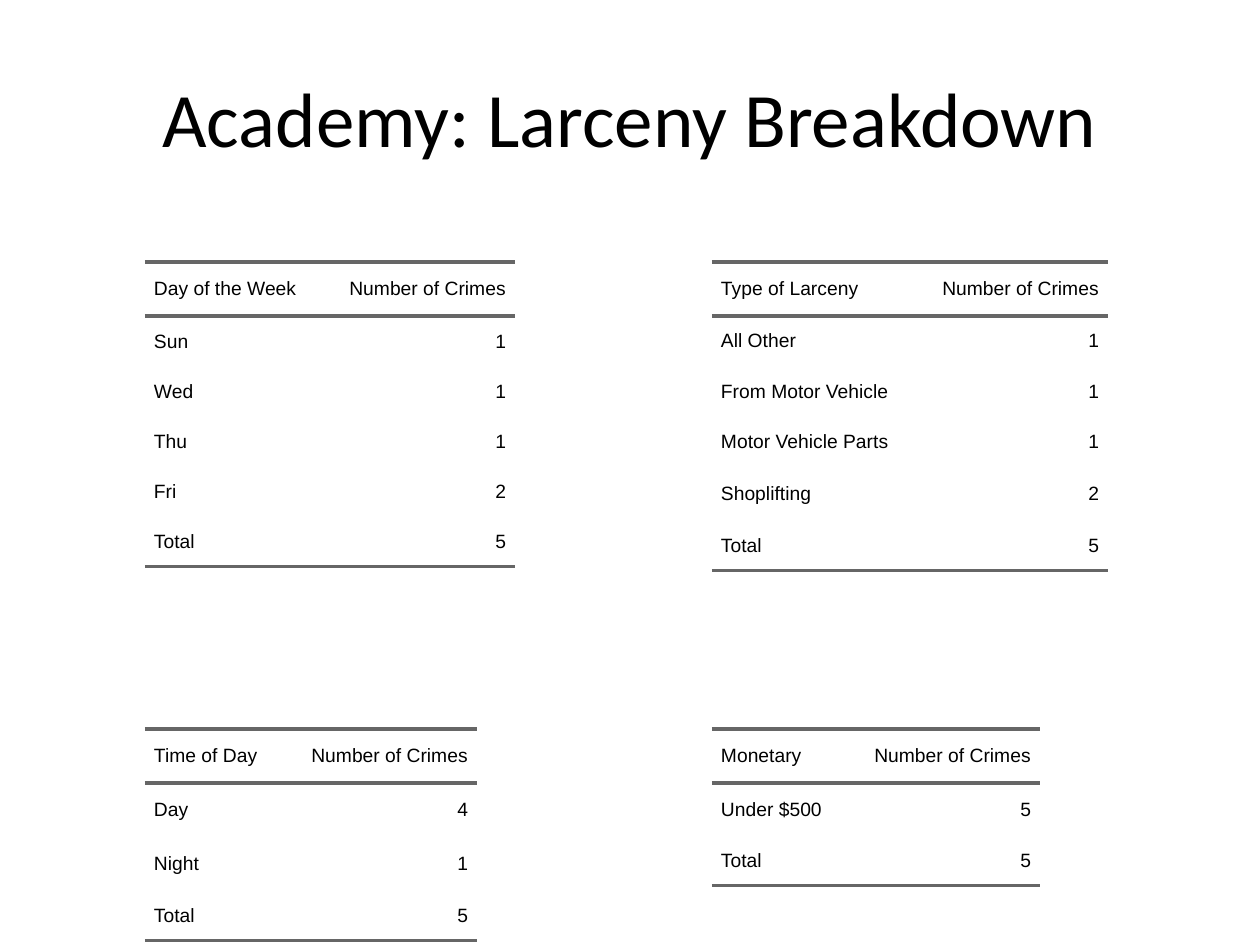
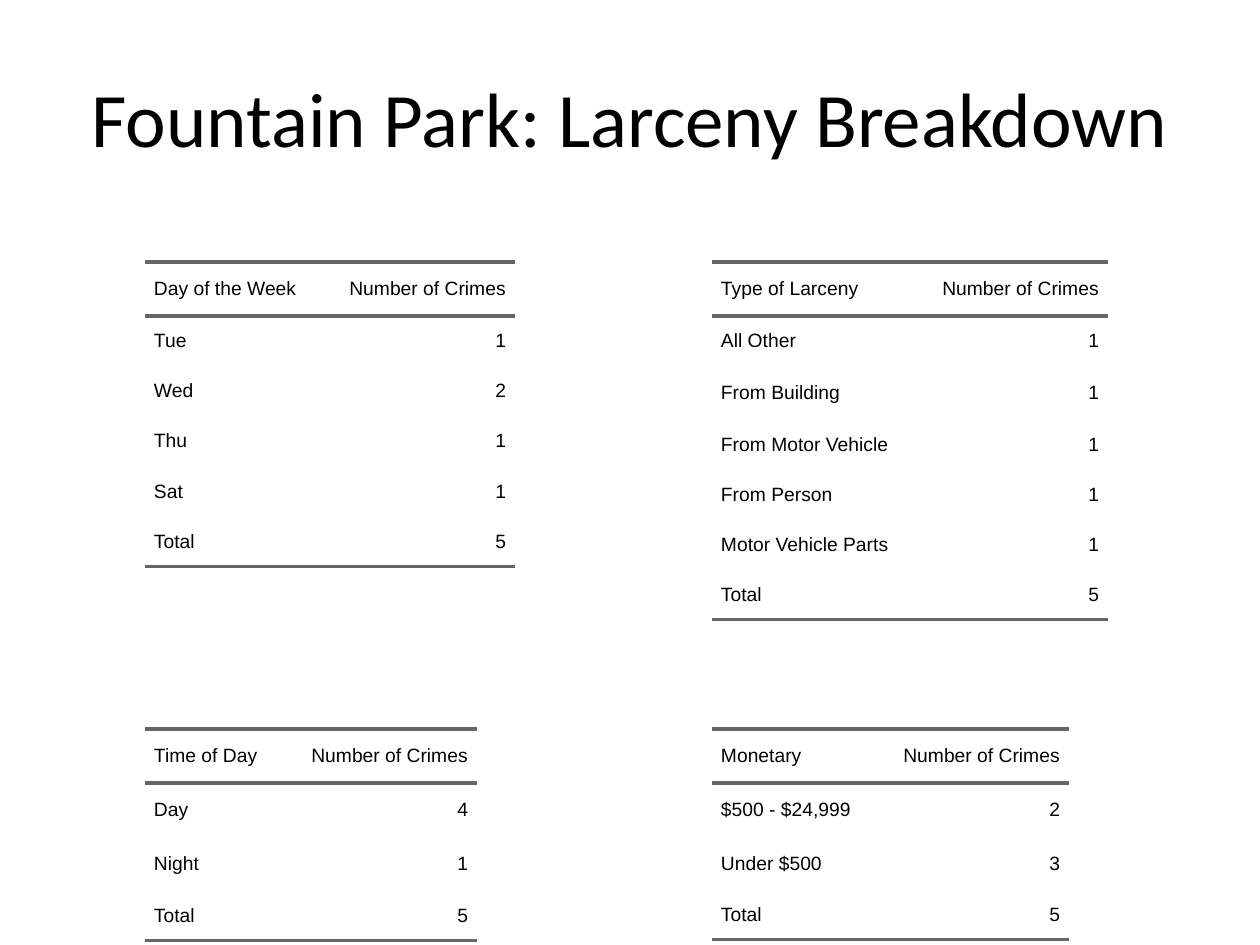
from lxml import etree
from pptx import Presentation
from pptx.dml.color import RGBColor
from pptx.enum.text import MSO_ANCHOR, PP_ALIGN
from pptx.oxml.ns import qn
from pptx.util import Emu, Pt

MIDDLE = MSO_ANCHOR.MIDDLE
LEFT, CENTER, RIGHT = PP_ALIGN.LEFT, PP_ALIGN.CENTER, PP_ALIGN.RIGHT

BLACK = RGBColor(0x00, 0x00, 0x00)
RULE_GRAY = RGBColor(0x66, 0x66, 0x66)

PX_PER_INCH = 126
PAGE_WIDTH, PAGE_HEIGHT = 1260, 945
TITLE_BOX = (63, 38, 1134, 157)
TITLE_ONLY_LAYOUT = 5
PLAIN_TABLE_STYLE = "{2D5ABB26-0587-4C30-8999-92F81FD0307C}"

# Shared table grid
LEFT_X, RIGHT_X = 145, 712
UPPER_Y, LOWER_Y = 262, 729
COUNT_WIDTH = 192
HEADER_HEIGHT = 54
CELL_INDENT = 9
COUNT_HEADING = "Number of Crimes"

# Each body row: label, count, height
TIME_OF_DAY_ROWS = [("Day", 4, 54), ("Night", 1, 54), ("Total", 5, 50)]

# Each table: left, top, label column width, heading, rows
PAGES = [
    ("Academy: Larceny Breakdown", [
        (LEFT_X, UPPER_Y, 178, "Day of the Week",
         [("Sun", 1, 51), ("Wed", 1, 50), ("Thu", 1, 50), ("Fri", 2, 50),
          ("Total", 5, 50)]),
        (LEFT_X, LOWER_Y, 140, "Time of Day", TIME_OF_DAY_ROWS),
        (RIGHT_X, UPPER_Y, 204, "Type of Larceny",
         [("All Other", 1, 50), ("From Motor Vehicle", 1, 51),
          ("Motor Vehicle Parts", 1, 50), ("Shoplifting", 2, 54),
          ("Total", 5, 50)]),
        (RIGHT_X, LOWER_Y, 136, "Monetary",
         [("Under $500", 5, 53), ("Total", 5, 50)]),
    ]),
    ("Fountain Park: Larceny Breakdown", [
        (LEFT_X, UPPER_Y, 178, "Day of the Week",
         [("Tue", 1, 50), ("Wed", 2, 50), ("Thu", 1, 50), ("Sat", 1, 51),
          ("Total", 5, 50)]),
        (LEFT_X, LOWER_Y, 140, "Time of Day", TIME_OF_DAY_ROWS),
        (RIGHT_X, UPPER_Y, 204, "Type of Larceny",
         [("All Other", 1, 50), ("From Building", 1, 54),
          ("From Motor Vehicle", 1, 50), ("From Person", 1, 50),
          ("Motor Vehicle Parts", 1, 50), ("Total", 5, 50)]),
        (RIGHT_X, LOWER_Y, 165, "Monetary",
         [("$500 - $24,999", 2, 54), ("Under $500", 3, 53),
          ("Total", 5, 50)]),
    ]),
]


def px(length):
    return Emu(round(length * 914400 / PX_PER_INCH))


def format_paragraph(para, font_name, size, alignment):
    para.alignment = alignment
    for span in para.runs:
        span.font.name = font_name
        span.font.size = Pt(size)
        span.font.color.rgb = BLACK


def add_rule(cell, side):
    """Draw a gray rule on one side of a cell: lnT or lnB."""
    line = etree.SubElement(cell._tc.get_or_add_tcPr(), qn("a:" + side),
                            w=str(Pt(2)))
    fill = etree.SubElement(line, qn("a:solidFill"))
    etree.SubElement(fill, qn("a:srgbClr"), val=str(RULE_GRAY))


def fill_cell(cell, text, alignment, rule_sides):
    cell.text = text
    cell.vertical_anchor = MIDDLE
    cell.margin_left = cell.margin_right = 0
    cell.margin_top = cell.margin_bottom = 0
    for side in rule_sides:
        add_rule(cell, side)
    cell.fill.background()
    para = cell.text_frame.paragraphs[0]
    format_paragraph(para, "Arial", 11, alignment)
    properties = para._p.get_or_add_pPr()
    for margin in ("marL", "marR"):
        properties.set(margin, str(px(CELL_INDENT)))


def add_crime_table(page, left, top, label_width, heading, body):
    rows = [(heading, COUNT_HEADING, HEADER_HEIGHT)] + body
    height = sum(row[2] for row in rows)
    table = page.shapes.add_table(
        len(rows), 2, px(left), px(top),
        px(label_width + COUNT_WIDTH), px(height)).table
    table.first_row = table.horz_banding = False
    table._tbl.tblPr.find(qn("a:tableStyleId")).text = PLAIN_TABLE_STYLE
    table.columns[0].width = px(label_width)
    table.columns[1].width = px(COUNT_WIDTH)

    # Rules frame the header and close the total row
    rules = {0: ("lnT", "lnB"), len(rows) - 1: ("lnB",)}
    for index, (label, count, row_height) in enumerate(rows):
        table.rows[index].height = px(row_height)
        sides = rules.get(index, ())
        fill_cell(table.cell(index, 0), label, LEFT, sides)
        fill_cell(table.cell(index, 1), str(count), RIGHT, sides)


def add_title(page, text):
    title = page.shapes.title
    title.left, title.top, title.width, title.height = map(px, TITLE_BOX)
    title.text_frame.text = text
    title.text_frame.vertical_anchor = MIDDLE
    format_paragraph(title.text_frame.paragraphs[0], "Calibri", 44, CENTER)


def add_breakdown_page(deck, title, tables):
    page = deck.slides.add_slide(deck.slide_layouts[TITLE_ONLY_LAYOUT])
    add_title(page, title)
    for table in tables:
        add_crime_table(page, *table)


def main():
    deck = Presentation()
    deck.slide_width, deck.slide_height = px(PAGE_WIDTH), px(PAGE_HEIGHT)
    for title, tables in PAGES:
        add_breakdown_page(deck, title, tables)
    deck.save("out.pptx")


if __name__ == "__main__":
    main()
